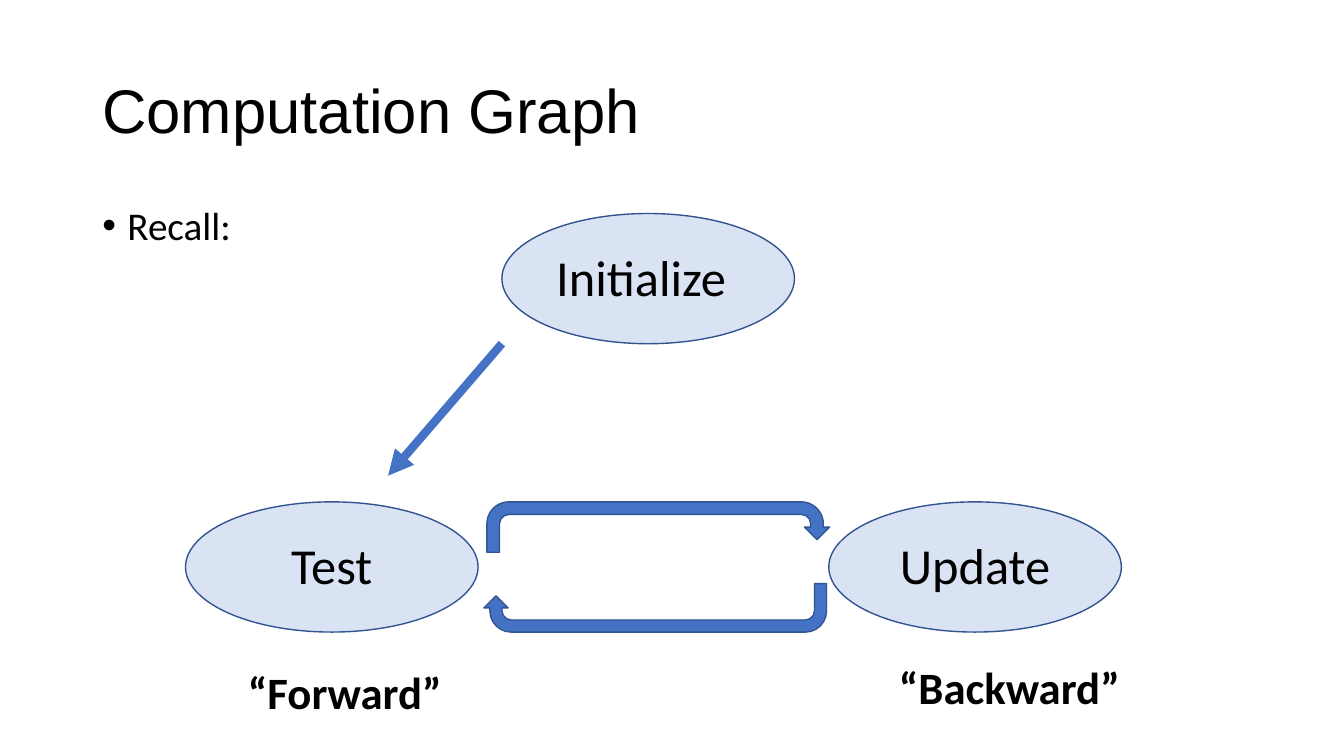
from dataclasses import dataclass
from lxml.etree import SubElement
from pptx import Presentation
from pptx.dml.color import RGBColor
from pptx.enum.shapes import MSO_CONNECTOR, MSO_SHAPE
from pptx.enum.text import MSO_ANCHOR, MSO_AUTO_SIZE, PP_ALIGN
from pptx.oxml.ns import qn
from pptx.util import Pt


@dataclass(frozen=True)
class Theme:
    """Colours, fonts and type sizes of the slide."""
    ink: str = "000000"
    pale: str = "DAE3F3"
    blue: str = "4472C4"
    edge: str = "325491"
    head: str = "Arial"
    body: str = "Calibri"
    title: int = 44
    point: int = 28
    node: int = 36
    label: int = 32


def write(frame, text, font, size, color, bold=False, align=PP_ALIGN.LEFT,
          space=None, bullet=None, indent=18):
    """Put one formatted paragraph into a text frame."""
    para = frame.paragraphs[0]
    para.text = text
    para.alignment = align
    if space:
        para.line_spacing = space
    if bullet:
        props = para._p.get_or_add_pPr()
        props.set("marL", str(Pt(indent)))
        props.set("indent", str(-Pt(indent)))
        SubElement(props, qn("a:buFont"), typeface="Arial")
        SubElement(props, qn("a:buChar"), char=bullet)
    font_of = para.runs[0].font
    font_of.name, font_of.size, font_of.bold = font, Pt(size), bold
    font_of.color.rgb = RGBColor.from_string(color)


class Deck:
    """Draws styled elements on the current slide."""

    def __init__(self, theme, wide, high):
        """Start a deck with one blank slide."""
        self.theme = theme
        self.file = Presentation()
        self.file.slide_width, self.file.slide_height = Pt(wide), Pt(high)
        self.slide = self.file.slides.add_slide(self.file.slide_layouts[6])

    def text(self, box, text, size, font=None, wrap=True, grow=True,
             anchor=MSO_ANCHOR.TOP, **style):
        """Add a text box."""
        frame = self.slide.shapes.add_textbox(*map(Pt, box)).text_frame
        frame.word_wrap = wrap
        frame.auto_size = (MSO_AUTO_SIZE.SHAPE_TO_FIT_TEXT if grow
                           else MSO_AUTO_SIZE.NONE)
        frame.vertical_anchor = anchor
        write(frame, text, font or self.theme.body, size, self.theme.ink, **style)

    def shape(self, kind, box, fill, turn=0):
        """Add a filled and outlined preset shape."""
        shape = self.slide.shapes.add_shape(kind, *map(Pt, box))
        shape.shadow.inherit = False
        shape.rotation = turn
        shape.fill.solid()
        shape.fill.fore_color.rgb = RGBColor.from_string(fill)
        shape.line.color.rgb = RGBColor.from_string(self.theme.edge)
        shape.line.width = Pt(1)

    def node(self, left, top, text, align=PP_ALIGN.CENTER):
        """Add an ellipse with its caption."""
        self.shape(MSO_SHAPE.OVAL, (left, top, 209, 93), self.theme.pale)
        self.text((left + 31.7, top + 19.4, 145.5, 51), text,
                  self.theme.node, align=align)

    def arrow(self, start, end, width):
        """Add a straight arrow."""
        line = self.slide.shapes.add_connector(
            MSO_CONNECTOR.STRAIGHT, *map(Pt, start + end))
        line.line.color.rgb = RGBColor.from_string(self.theme.blue)
        line.line.width = Pt(width)
        SubElement(line.line._get_or_add_ln(), qn("a:tailEnd"), type="triangle")
        SubElement(line._element.spPr, qn("a:effectLst"))


def main():
    """Build and save the slide."""
    theme = Theme()
    deck = Deck(theme, 960, 540)
    deck.text((66, 28.8, 828, 104.4), "Computation Graph", theme.title,
              font=theme.head, grow=False, anchor=MSO_ANCHOR.MIDDLE, space=0.9)
    deck.text((66, 144, 828, 342.6), "Recall:", theme.point,
              grow=False, space=0.9, bullet="•")

    row = 358.5
    deck.node(358.5, 152.5, "Initialize", align=PP_ALIGN.LEFT)
    deck.node(132.5, row, "Test")
    deck.node(592, row, "Update")

    for box, turn in (((347.8, row, 244.8, 36), 0),
                      ((345.6, 416.9, 244.8, 34.6), 180)):
        deck.shape(MSO_SHAPE.U_TURN_ARROW, box, theme.blue, turn)

    for box, text in (((170, 470.9, 154, 46), "“Forward”"),
                      ((635, 468, 173.5, 46), "“Backward”")):
        deck.text(box, text, theme.label, wrap=False, bold=True)

    deck.arrow((358.5, 245.5), (277.2, 339.8), 6)
    deck.file.save("out.pptx")


if __name__ == "__main__":
    main()
